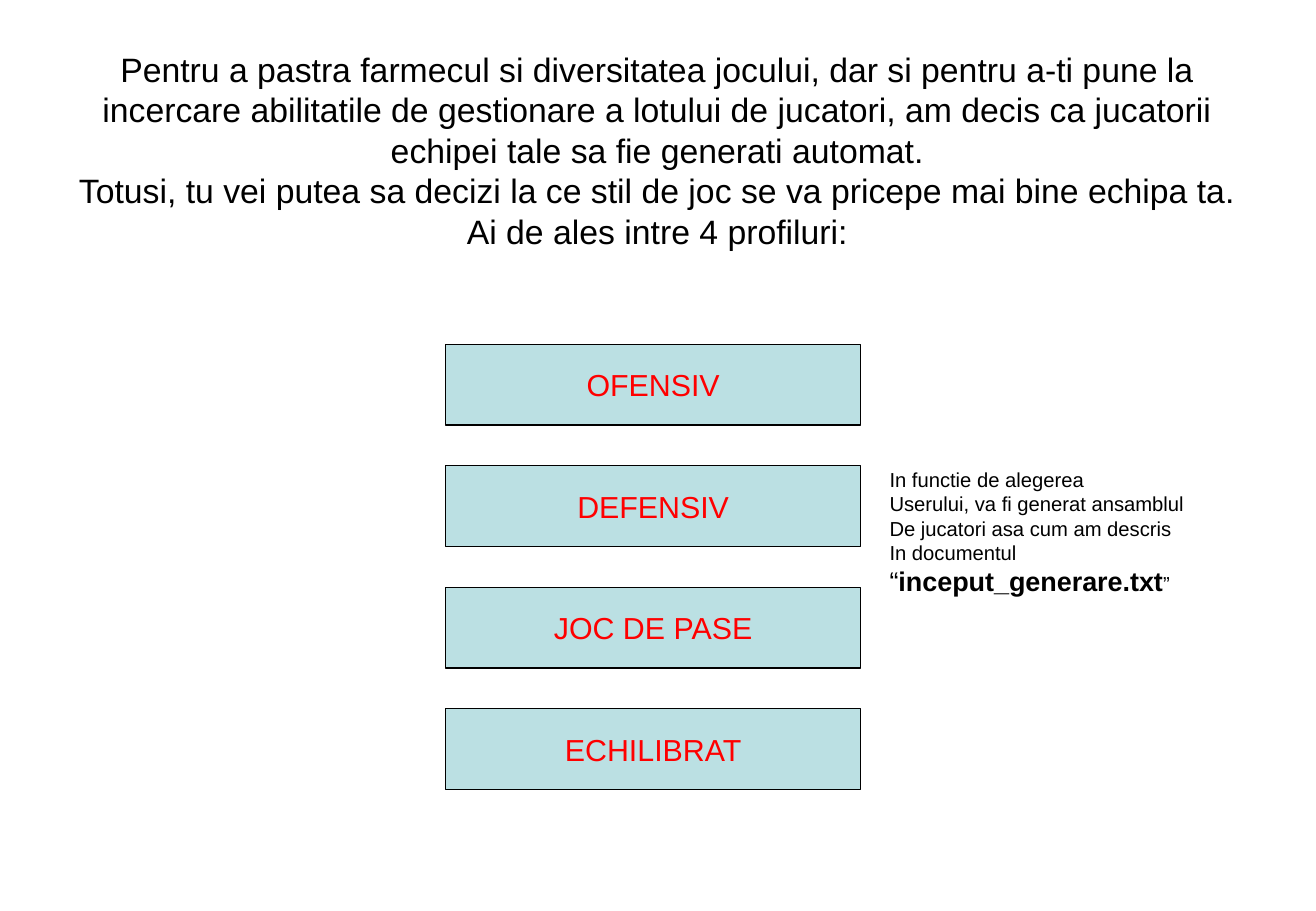
import pptx
import pptx.util
import pptx.dml.color
import pptx.enum.shapes
import pptx.enum.text

Cm = pptx.util.Cm
Pt = pptx.util.Pt
RGBColor = pptx.dml.color.RGBColor
ALIGN = pptx.enum.text.PP_ALIGN
ANCHOR = pptx.enum.text.MSO_ANCHOR

INTRO = [
    "Pentru a pastra farmecul si diversitatea jocului, dar si pentru a-ti pune la "
    "incercare abilitatile de gestionare a lotului de jucatori, am decis ca jucatorii "
    "echipei tale sa fie generati automat.",
    "Totusi, tu vei putea sa decizi la ce stil de joc se va pricepe mai bine echipa ta.",
    "Ai de ales intre 4 profiluri:",
]
STYLES = ["OFENSIV", "DEFENSIV", "JOC DE PASE", "ECHILIBRAT"]
# Each note line is a list of runs: text, size, bold
NOTE = [
    [("In functie de alegerea", 12, False)],
    [("Userului, va fi generat ansamblul", 12, False)],
    [("De jucatori asa cum am descris", 12, False)],
    [("In documentul ", 12, False), ("“", 16, False),
     ("inceput_generare.txt", 16, True), ("”", 12, False)],
]

BLACK = RGBColor(0x00, 0x00, 0x00)
RED = RGBColor(0xFF, 0x00, 0x00)
AQUA = RGBColor(0xBB, 0xE0, 0xE3)

LEFT, TOP = Cm(9.32), Cm(7.2)
WIDTH, HEIGHT = Cm(8.69), Cm(1.69)
STEP = Cm(2.54)


def add_run(para, text, size, color=BLACK, bold=False):
    run = para.add_run()
    run.text = text
    run.font.name = "Arial"
    run.font.size = Pt(size)
    run.font.bold = bold
    run.font.color.rgb = color


def add_intro(slide):
    box = slide.shapes.add_textbox(Cm(1.37), Cm(0.97), Cm(24.77), Cm(4.32))
    frame = box.text_frame
    frame.word_wrap = True
    frame.margin_left = frame.margin_right = 0
    frame.vertical_anchor = ANCHOR.MIDDLE
    para = frame.paragraphs[0]
    para.alignment = ALIGN.CENTER
    for i, line in enumerate(INTRO):
        if i:
            para.add_line_break()
        add_run(para, line, 20)


def add_style(slide, row, name):
    rect = slide.shapes.add_shape(
        pptx.enum.shapes.MSO_SHAPE.RECTANGLE, LEFT, TOP + row * STEP, WIDTH, HEIGHT)
    rect.shadow.inherit = False
    rect.fill.solid()
    rect.fill.fore_color.rgb = AQUA
    rect.line.color.rgb = BLACK
    rect.line.width = Pt(0.75)
    frame = rect.text_frame
    frame.word_wrap = False
    frame.vertical_anchor = ANCHOR.MIDDLE
    para = frame.paragraphs[0]
    para.alignment = ALIGN.CENTER
    add_run(para, name, 18, RED)


def add_note(slide):
    box = slide.shapes.add_textbox(Cm(18.36), Cm(9.65), Cm(9.14), Cm(2.46))
    frame = box.text_frame
    frame.word_wrap = False
    frame.auto_size = pptx.enum.text.MSO_AUTO_SIZE.SHAPE_TO_FIT_TEXT
    for i, runs in enumerate(NOTE):
        para = frame.add_paragraph() if i else frame.paragraphs[0]
        para.alignment = ALIGN.LEFT
        for text, size, bold in runs:
            add_run(para, text, size, bold=bold)


def main():
    deck = pptx.Presentation()
    deck.slide_width, deck.slide_height = Cm(27.53), Cm(19.05)
    slide = deck.slides.add_slide(deck.slide_layouts[6])
    add_intro(slide)
    for row, name in enumerate(STYLES):
        add_style(slide, row, name)
    add_note(slide)
    deck.save("out.pptx")


if __name__ == "__main__":
    main()
